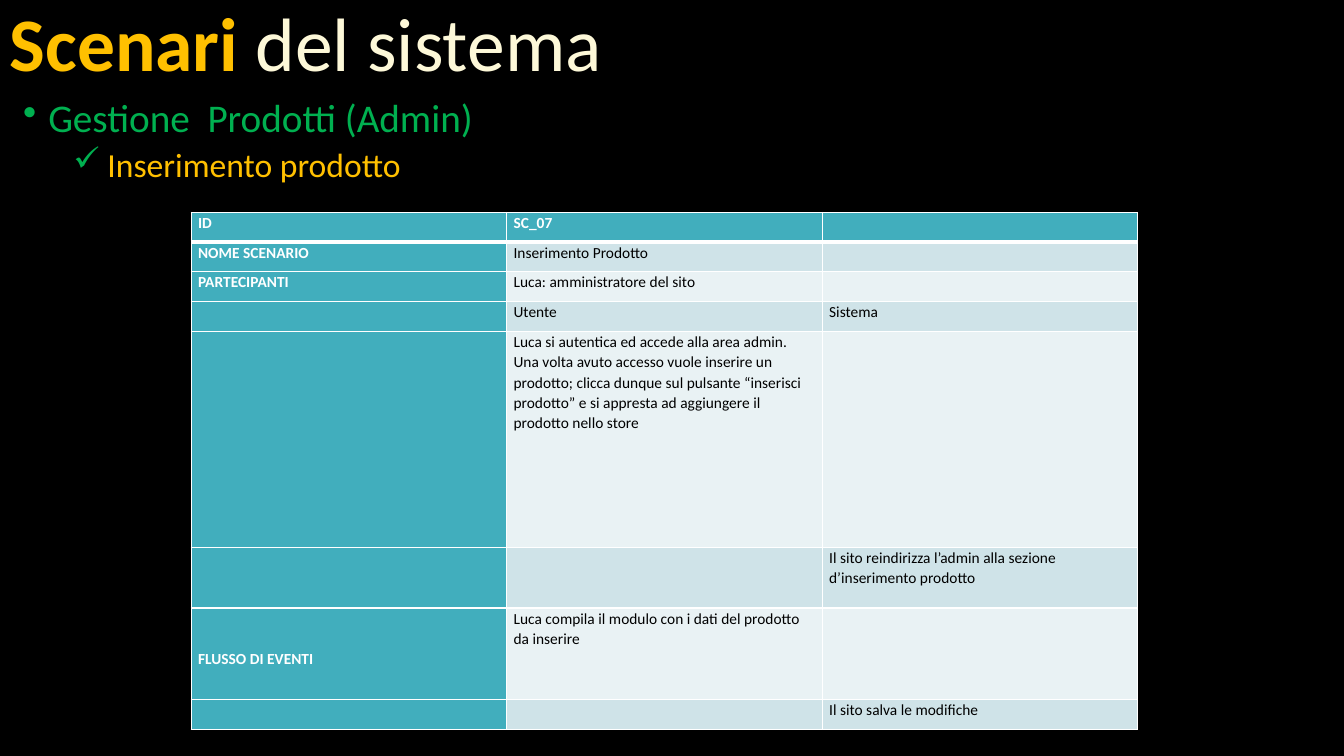
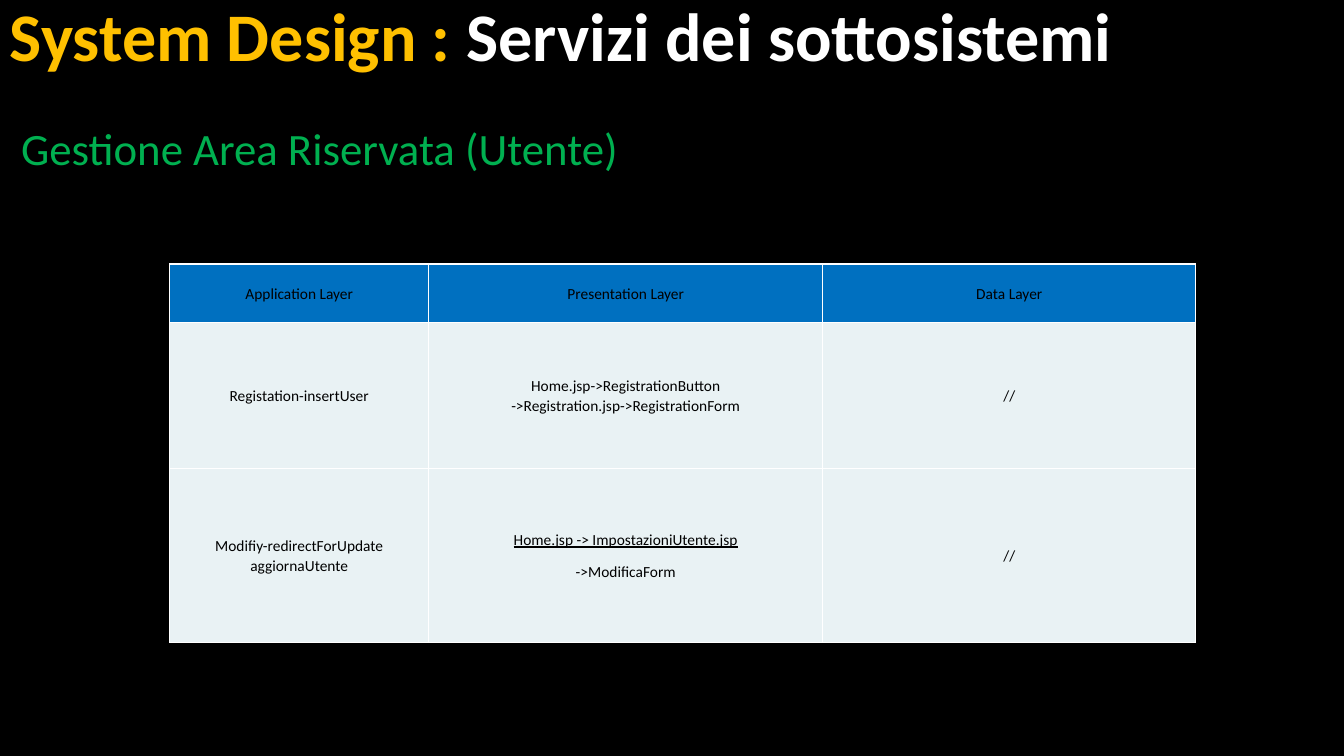
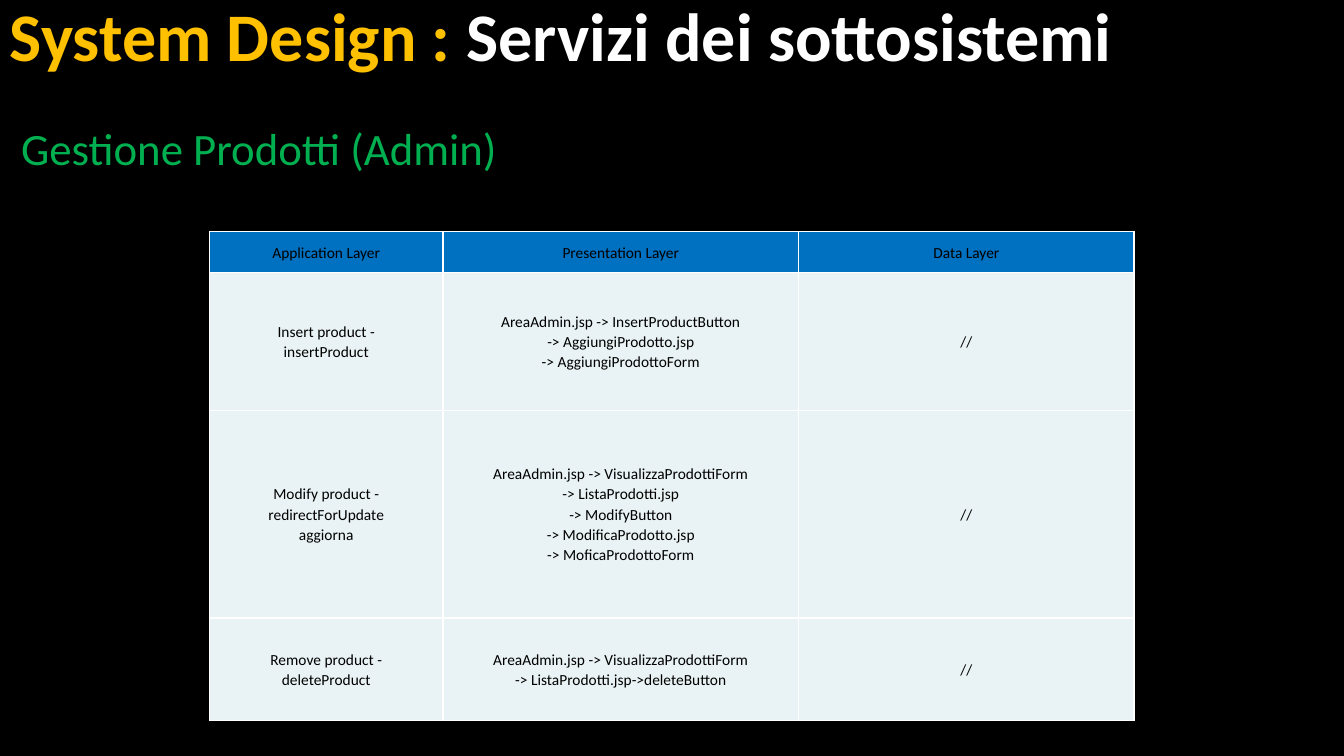
import lxml.etree
import pptx
import pptx.dml.color
import pptx.enum.text
import pptx.oxml.ns
import pptx.util

Pt = pptx.util.Pt
RGB = pptx.dml.color.RGBColor
qn = pptx.oxml.ns.qn
SubElement = lxml.etree.SubElement
PP_ALIGN = pptx.enum.text.PP_ALIGN
MSO_ANCHOR = pptx.enum.text.MSO_ANCHOR

BLACK = RGB(0x00, 0x00, 0x00)
WHITE = RGB(0xFF, 0xFF, 0xFF)
CREAM = RGB(0xFD, 0xF8, 0xD8)
GOLD = RGB(0xFF, 0xC0, 0x00)
GREEN = RGB(0x00, 0xB0, 0x50)
BLUE = RGB(0x00, 0x70, 0xC0)
TEAL = RGB(0x41, 0xAE, 0xBD)
BAND_DARK = RGB(0xCF, 0xE3, 0xE8)
BAND_LIGHT = RGB(0xE9, 0xF2, 0xF4)

FONT = "Calibri"
CELL_SIZE = 11


def write(p, text, size, color, bold=False):
    fmt = {"name": FONT, "size": Pt(size), "bold": bold}
    for i, line in enumerate(text.split("\n")):
        if i:
            p.add_line_break()
            SubElement(p._p[-1], qn("a:rPr"), sz=str(size * 100))
        r = p.add_run()
        r.text = line
        for k, v in fmt.items():
            setattr(r.font, k, v)
        r.font.color.rgb = color


def add_table(s, left, top, widths, heights, rows, scenario):
    tbl = s.shapes.add_table(len(heights), len(widths), Pt(left), Pt(top),
                             Pt(sum(widths)), Pt(sum(heights))).table
    tbl.first_row = tbl.horz_banding = False
    for col, width in zip(tbl.columns, widths):
        col.width = Pt(width)
    inset = Pt(4.9 if scenario else 3.4)
    layout = {"margin_left": inset, "margin_right": inset, "margin_top": 0, "margin_bottom": 0,
              "vertical_anchor": MSO_ANCHOR.TOP if scenario else MSO_ANCHOR.MIDDLE}
    para = {"line_spacing": 1.07}
    if not scenario:
        para.update(alignment=PP_ALIGN.CENTER, space_after=Pt(8))
    for i, (height, row) in enumerate(zip(heights, rows)):
        tbl.rows[i].height = Pt(height)
        for j, text in enumerate(row):
            cell = tbl.cell(i, j)
            for k, v in layout.items():
                setattr(cell, k, v)
            heading = scenario and (i == 0 or j == 0)
            thick = {(0, "B"), (1, "T")} if scenario else set()
            for side in "LRTB":
                width = Pt(3 if (i, side) in thick else 1)
                ln = SubElement(cell._tc.get_or_add_tcPr(), qn("a:ln" + side), w=str(int(width)))
                fill = SubElement(ln, qn("a:solidFill"))
                SubElement(fill, qn("a:srgbClr"), val=str(WHITE))
            cell.fill.solid()
            if heading:
                cell.fill.fore_color.rgb = TEAL
            elif i == 0:
                cell.fill.fore_color.rgb = BLUE
            else:
                cell.fill.fore_color.rgb = BAND_DARK if scenario and i % 2 else BAND_LIGHT
            tf = cell.text_frame
            for n, part in enumerate(text.split("\n\n")):
                p = tf.add_paragraph() if n else tf.paragraphs[0]
                for k, v in para.items():
                    setattr(p, k, v)
                if part:
                    write(p, part, CELL_SIZE, WHITE if heading else BLACK, heading)
                else:
                    SubElement(p._p, qn("a:endParaRPr"), sz=str(CELL_SIZE * 100))
    return tbl


prs = pptx.Presentation()
prs.slide_width, prs.slide_height = Pt(960), Pt(540)
bg = prs.slide_master.background.fill
bg.solid()
bg.fore_color.rgb = BLACK

SERVICE_TITLE = (951, 56, 48.6, [("System Design : ", GOLD, True),
                                 ("Servizi dei sottosistemi", WHITE, True)])
titles = [
    (792, 67, 54, [("Scenari ", GOLD, True), ("del sistema", CREAM, False)]),
    SERVICE_TITLE,
    SERVICE_TITLE,
]
slides = []
for width, height, size, runs in titles:
    s = prs.slides.add_slide(prs.slide_layouts[6])
    tf = s.shapes.add_textbox(0, 0, Pt(width), Pt(height)).text_frame
    tf.word_wrap = True
    tf.vertical_anchor = MSO_ANCHOR.MIDDLE
    p = tf.paragraphs[0]
    p.line_spacing = 0.9
    for text, color, bold in runs:
        write(p, text, size, color, bold)
    slides.append(s)
scenario_slide, user_slide, product_slide = slides

tf = scenario_slide.shapes.add_textbox(Pt(9.4), Pt(67), Pt(942), Pt(464)).text_frame
tf.word_wrap = True
bullets = [
    ("•", 18, 0, 28, [("Gestione  Prodotti (Admin)", GREEN)]),
    ("✓", 54, 5, 24, [(" ", GREEN), ("Inserimento prodotto", GOLD)]),
]
for level, (char, indent, before, size, runs) in enumerate(bullets):
    p = tf.add_paragraph() if level else tf.paragraphs[0]
    pPr = p._p.get_or_add_pPr()
    pPr.set("marL", str(int(Pt(indent))))
    pPr.set("indent", str(int(Pt(-18))))
    SubElement(pPr, qn("a:buChar"), char=char)
    for k, v in {"level": level, "line_spacing": 0.9, "space_before": Pt(before)}.items():
        setattr(p, k, v)
    for text, color in runs:
        write(p, text, size, color)

tbl = add_table(
    scenario_slide, 136.6, 151.7, [225.4] * 3, [21.25] * 4 + [154.2, 43.5, 65.3, 21.5],
    [
        ("ID", "SC_07", ""),
        ("NOME SCENARIO", "Inserimento Prodotto", ""),
        ("PARTECIPANTI", "Luca: amministratore del sito", ""),
        ("", "Utente", "Sistema"),
        ("", "Luca si autentica ed accede alla area admin. Una volta avuto accesso vuole "
             "inserire un prodotto; clicca dunque sul pulsante “inserisci prodotto” e si "
             "appresta ad aggiungere il prodotto nello store", ""),
        ("", "", "Il sito reindirizza l’admin alla sezione d’inserimento prodotto"),
        ("FLUSSO DI EVENTI", "Luca compila il modulo con i dati del prodotto da inserire", ""),
        ("", "", "Il sito salva le modifiche"),
    ], True)
tbl.cell(6, 0).margin_top = Pt(28.7)

for s, text in [(user_slide, "Gestione Area Riservata (Utente)"),
                (product_slide, "Gestione Prodotti (Admin)")]:
    tf = s.shapes.add_textbox(Pt(8), Pt(83), Pt(480), Pt(46)).text_frame
    tf.word_wrap = True
    write(tf.paragraphs[0], text, 32, GREEN)

LAYERS = ("Application Layer", "Presentation Layer", "Data Layer")
tbl = add_table(
    user_slide, 121.3, 188.6, [185, 281.5, 266.4], [41.6, 104.3, 124.5],
    [
        LAYERS,
        ("Registation-insertUser",
         "Home.jsp->RegistrationButton\n->Registration.jsp->RegistrationForm", "//"),
        ("Modifiy-redirectForUpdate\naggiornaUtente",
         "Home.jsp -> ImpostazioniUtente.jsp\n\n->ModificaForm", "//"),
    ], False)
tbl.cell(2, 1).text_frame.paragraphs[0].runs[0].font.underline = True

add_table(
    product_slide, 149.6, 165.5, [166.9, 254, 239.6], [29.3, 98.5, 148.2, 73.5],
    [
        LAYERS,
        ("Insert product -\ninsertProduct",
         "AreaAdmin.jsp -> InsertProductButton\n-> AggiungiProdotto.jsp\n"
         "-> AggiungiProdottoForm", "//"),
        ("Modify product -\nredirectForUpdate\naggiorna",
         "AreaAdmin.jsp -> VisualizzaProdottiForm\n-> ListaProdotti.jsp\n-> ModifyButton\n"
         "-> ModificaProdotto.jsp\n-> MoficaProdottoForm", "//"),
        ("Remove product -\ndeleteProduct",
         "AreaAdmin.jsp -> VisualizzaProdottiForm\n-> ListaProdotti.jsp->deleteButton", "//"),
    ], False)

prs.save("out.pptx")
